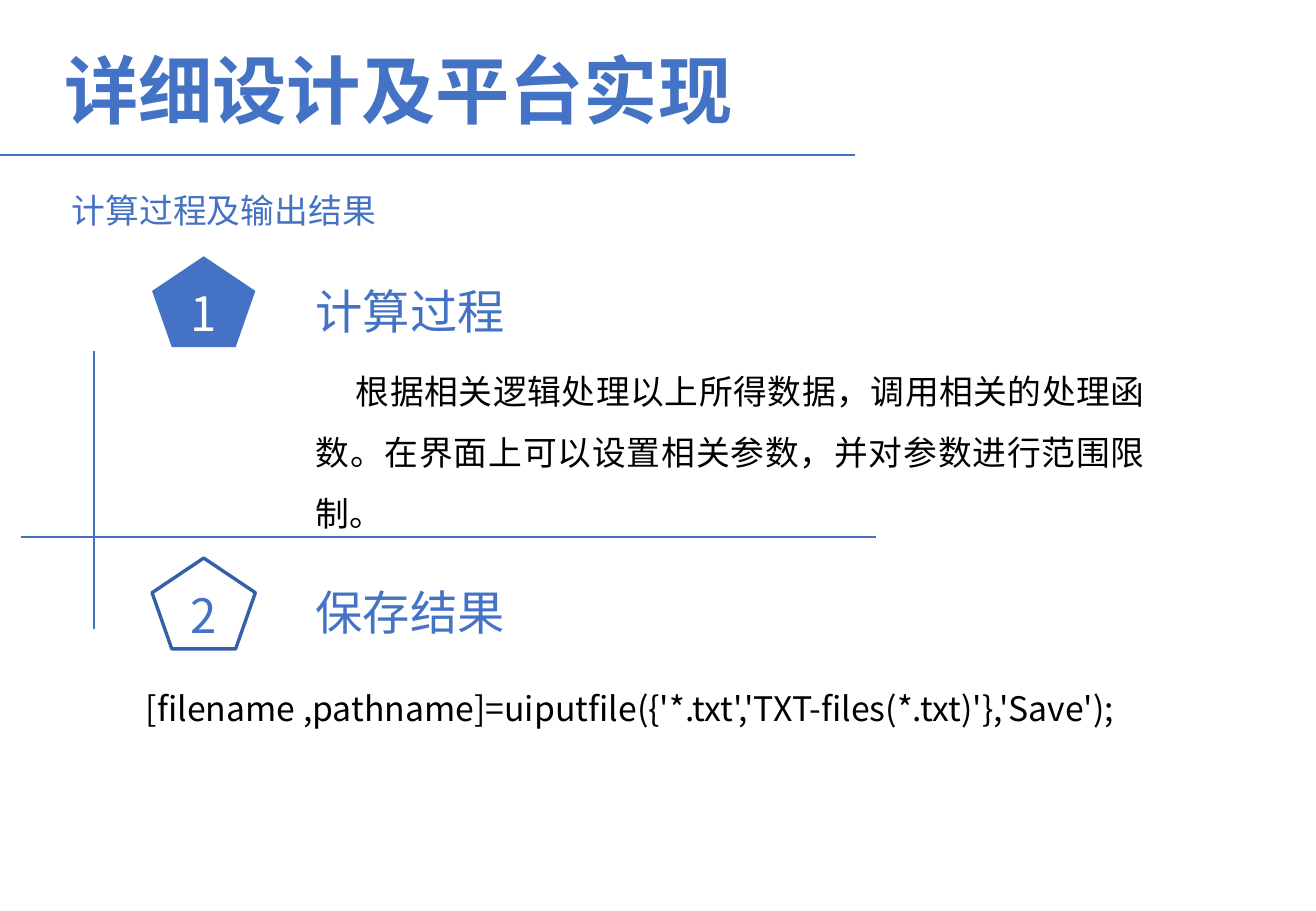
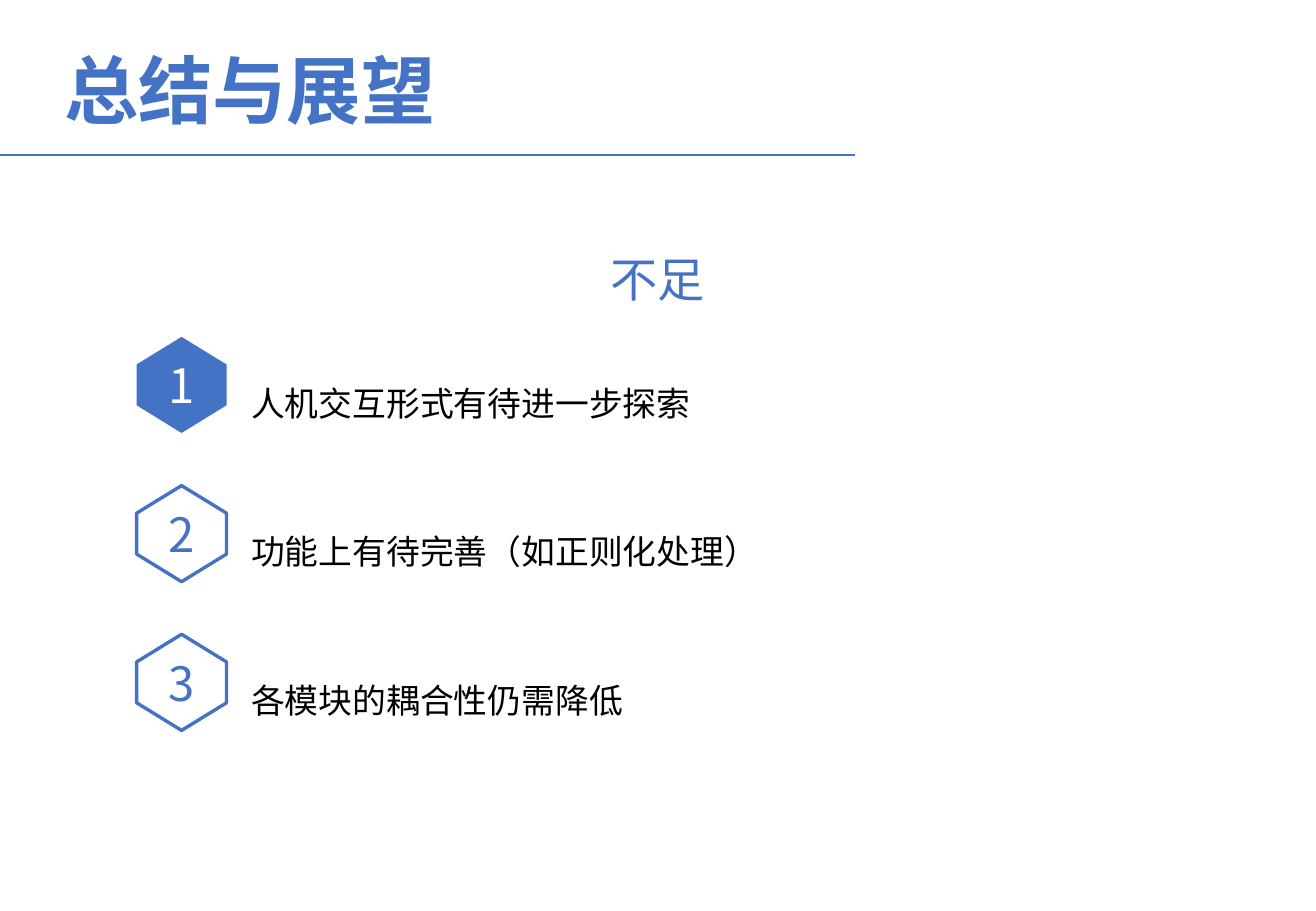
from lxml import etree
from pptx import Presentation
from pptx import util as u
from pptx.dml.color import RGBColor
from pptx.enum import shapes, text
from pptx.oxml.ns import qn

FONT = "Noto Sans CJK SC"
BLUE, DARK, BLACK, WHITE = "4472C4", "365FAA", "000000", "FFFFFF"
LEFT, MID, JUST = (text.PP_ALIGN.LEFT, text.PP_ALIGN.CENTER,
                   text.PP_ALIGN.JUSTIFY)

PROCESS = {
    "title": "详细设计及平台实现",
    "sub": " 计算过程及输出结果",
    "steps": ["计算过程", "保存结果"],
    # left, top, width, height in cm, then the wording
    "notes": [
        (6.35, 7.21, 17.83, 3.96,
         "根据相关逻辑处理以上所得数据，调用相关的处理函数。"
         "在界面上可以设置相关参数，并对参数进行范围限制。"),
        (1.96, 13.84, 22.25, 1.55,
         "[filename ,pathname]=uiputfile({'*.txt','TXT-files(*.txt)'},'Save');"),
    ],
    # x1, y1, x2, y2 in cm
    "rules": [(0.43, 11.23, 18.31, 11.23), (1.96, 13.16, 1.96, 7.34)],
}
OUTLOOK = {
    "title": "总结与展望",
    "head": "不足",
    "points": ["人机交互形式有待进一步探索",
               "功能上有待完善（如正则化处理）",
               "各模块的耦合性仍需降低"],
}
STEP_GAP, POINT_GAP = 6.31, 3.11


def color(code):
    return RGBColor.from_string(code)


def write(frame, words, size=20, ink=BLACK, bold=False, align=LEFT,
          indent=0, space=None):
    frame.word_wrap = True
    para = frame.paragraphs[0]
    para.alignment = align
    if space:
        para.line_spacing = space
    if indent:
        para._p.get_or_add_pPr().set("indent", str(u.Cm(indent)))
    run = para.add_run()
    run.text = words
    font = run.font
    font.name, font.size, font.bold = FONT, u.Pt(size), bold
    font.color.rgb = color(ink)
    east = etree.SubElement(run._r.get_or_add_rPr(), qn("a:ea"))
    east.set("typeface", FONT)


def label(slide, words, x, y, w, h, **style):
    box = slide.shapes.add_textbox(u.Cm(x), u.Cm(y), u.Cm(w), u.Cm(h))
    write(box.text_frame, words, **style)


def rule(slide, *ends):
    line = slide.shapes.add_connector(
        shapes.MSO_CONNECTOR.STRAIGHT, *map(u.Cm, ends))
    line.line.color.rgb = color(BLUE)
    line.line.width = u.Pt(1.25)
    etree.SubElement(line.element.spPr, qn("a:effectLst"))


def badge(slide, kind, num, x, y, w, h, edge=BLUE):
    """Numbered shape: the first one is solid, later ones are outlined."""
    mark = slide.shapes.add_shape(kind, u.Cm(x), u.Cm(y), u.Cm(w), u.Cm(h))
    mark.shadow.inherit = False
    if num == 1:
        mark.fill.solid()
        mark.fill.fore_color.rgb = color(BLUE)
        mark.line.fill.background()
    else:
        mark.fill.background()
        mark.line.color.rgb = color(edge)
        mark.line.width = u.Pt(2)
    mark.text_frame.vertical_anchor = text.MSO_ANCHOR.MIDDLE
    write(mark.text_frame, str(num), size=28, align=MID,
          ink=WHITE if num == 1 else BLUE)
    return mark


def start(deck, title):
    """Blank slide with the shared title and the line below it."""
    slide = deck.slides.add_slide(deck.slide_layouts[6])
    rule(slide, 0, 3.25, 17.88, 3.25)
    label(slide, title, 1.09, 0.81, 22.1, 1.8, size=44, ink=BLUE, bold=True)
    return slide


def process(deck, data):
    slide = start(deck, data["title"])
    for i, name in enumerate(data["steps"]):
        drop = i * STEP_GAP
        badge(slide, shapes.MSO_SHAPE.REGULAR_PENTAGON, i + 1,
              3.18, 5.36 + drop, 2.16, 1.9, edge=DARK)
        label(slide, name, 6.35, 5.77 + drop, 9.37, 1.45,
              size=28, ink=BLUE, align=JUST)
    for *area, words in data["notes"]:
        label(slide, words, *area, align=JUST, indent=0.84, space=1.5)
    for ends in data["rules"]:
        rule(slide, *ends)
    label(slide, data["sub"], 1.09, 3.84, 14.07, 1.12, ink=BLUE)


def outlook(deck, data):
    slide = start(deck, data["title"])
    label(slide, data["head"], 7.95, 5.11, 11.58, 1.45,
          size=28, ink=BLUE, align=MID)
    for i, words in enumerate(data["points"]):
        drop = i * POINT_GAP
        mark = badge(slide, shapes.MSO_SHAPE.HEXAGON, i + 1,
                     2.79, 7.11 + drop, 2.01, 1.88)
        mark.adjustments[0] = 0.307
        mark.rotation = 90
        # Turn the number back upright
        mark.element.txBody.find(qn("a:bodyPr")).set("vert", "vert270")
        label(slide, words, 5, 7.87 + drop, 19.99, 1.12, align=JUST)


def main():
    deck = Presentation()
    deck.slide_width, deck.slide_height = u.Cm(27.51), u.Cm(19.05)
    process(deck, PROCESS)
    outlook(deck, OUTLOOK)
    deck.save("out.pptx")


if __name__ == "__main__":
    main()
